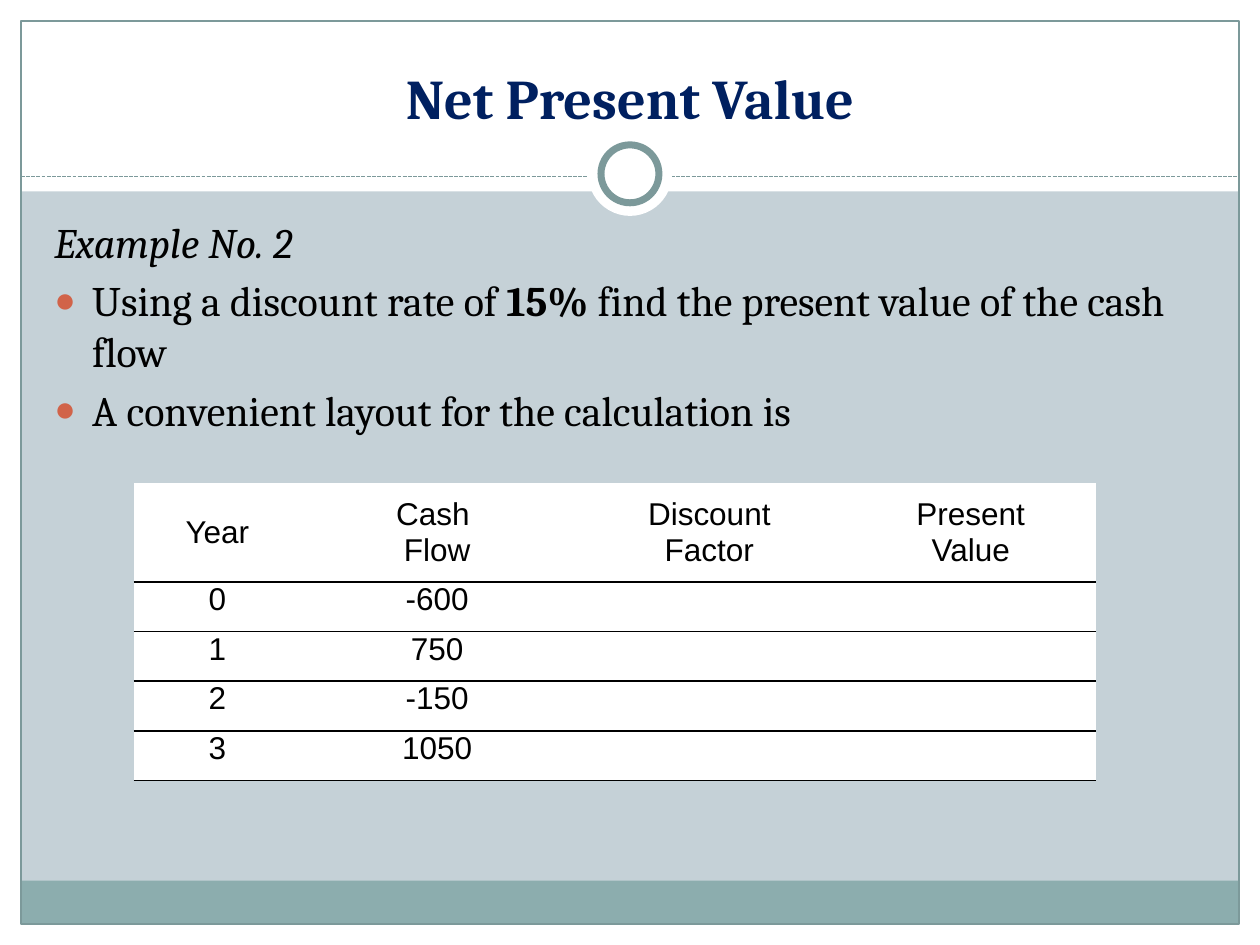
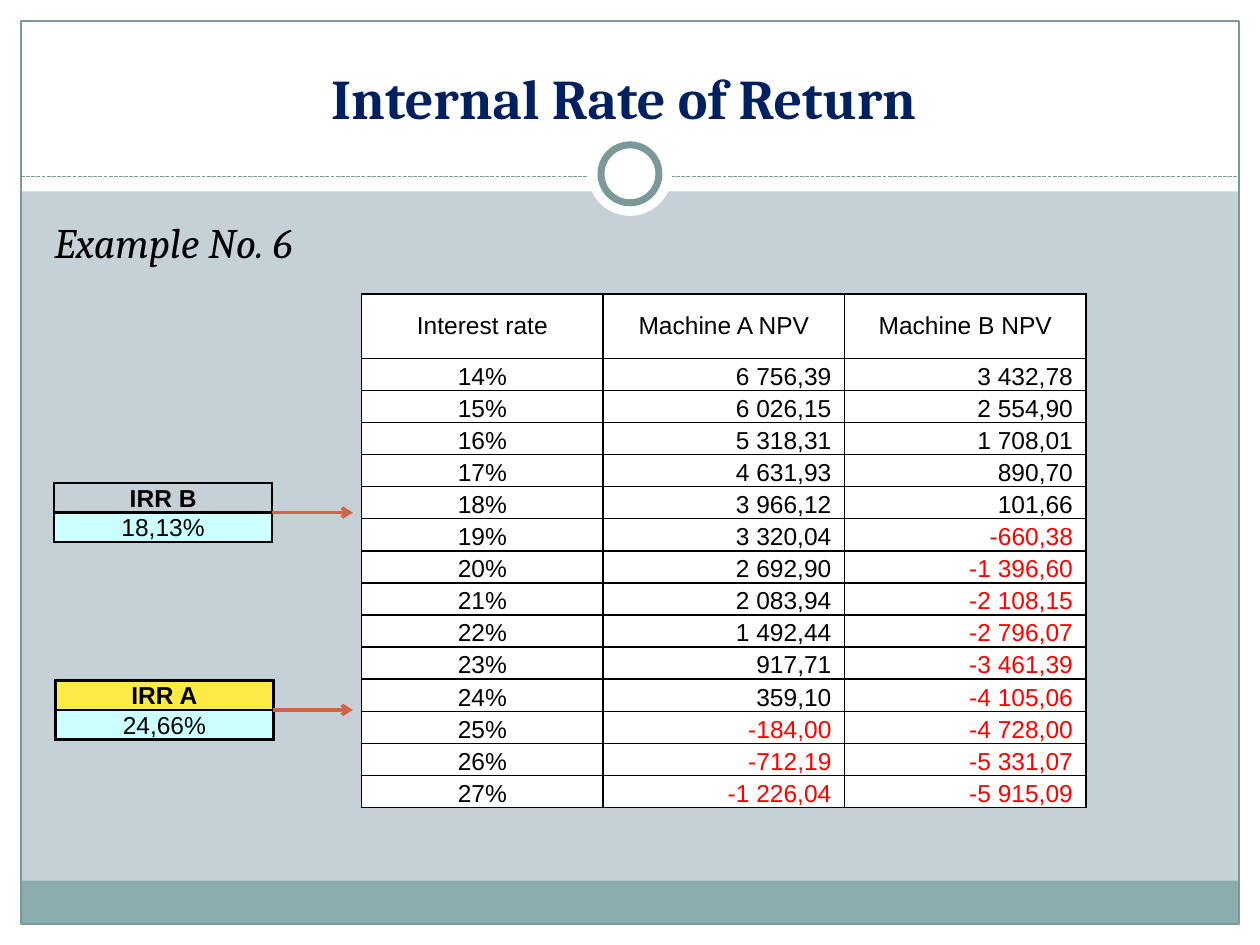
from dataclasses import dataclass

from lxml import etree
from pptx import Presentation
from pptx import util as u
from pptx.dml.color import RGBColor
from pptx.enum import dml, shapes, text
from pptx.oxml import ns

# ---- Content: places are in grid units, sixths of an inch (60 columns x 45 rows) ----
NPV = {
    "title": "Net Present Value",
    "example": "Example No. 2",
    "bullets": [
        [("Using a discount rate of ", False), ("15%", True),
         (" find the present value of the cash flow", False)],
        [("A convenient layout for the calculation is", False)],
    ],
}
CASH_FLOWS = [
    ("Year", "Cash \nFlow", "Discount\nFactor", "Present\nValue"),
    ("0", "-600", "", ""),
    ("1", "750", "", ""),
    ("2", "-150", "", ""),
    ("3", "1050", "", ""),
]
IRR = {"title": "Internal Rate of Return ", "example": "Example No. 6", "bullets": []}
NPV_HEADINGS = ("Interest rate", "Machine A NPV", "Machine B NPV")
FIRST_RATE = 14
MACHINE_NPVS = [
    ("6 756,39", "3 432,78"),
    ("6 026,15", "2 554,90"),
    ("5 318,31", "1 708,01"),
    ("4 631,93", "890,70"),
    ("3 966,12", "101,66"),
    ("3 320,04", "-660,38"),
    ("2 692,90", "-1 396,60"),
    ("2 083,94", "-2 108,15"),
    ("1 492,44", "-2 796,07"),
    ("917,71", "-3 461,39"),
    ("359,10", "-4 105,06"),
    ("-184,00", "-4 728,00"),
    ("-712,19", "-5 331,07"),
    ("-1 226,04", "-5 915,09"),
]
# label, rate, label fill, left, top
IRR_RESULTS = [("IRR B", "18,13%", None, 2.58, 23),
               ("IRR A", "24,66%", "FFE947", 2.64, 32.4)]


@dataclass(frozen=True)
class Theme:
    paper: str = "C5D1D7"
    white: str = "FFFFFF"
    black: str = "000000"
    navy: str = "002060"
    frame: str = "7C999A"
    footer: str = "8CADAE"
    accent: str = "D16349"
    negative: str = "FF0000"
    result: str = "CCFFFF"
    serif: str = "Cambria"
    sans: str = "Arial"
    title_size: int = 32
    body_size: int = 24
    table_size: int = 18
    small_size: int = 14


T = Theme()
COLS, ROWS = 60, 45
CENTER, MIDDLE, BOTTOM = (text.MSO_ANCHOR.TOP, text.MSO_ANCHOR.MIDDLE,
                          text.MSO_ANCHOR.BOTTOM)[0:0] or (
    text.PP_ALIGN.CENTER, text.MSO_ANCHOR.MIDDLE, text.MSO_ANCHOR.BOTTOM)


# ---- Helpers ----
def grid(*units):
    return [u.Inches(n / 6) for n in units]


def rgb(color):
    return RGBColor.from_string(color)


def style(font, face, size, color, bold=False, italic=False):
    font.name, font.size, font.bold, font.italic = face, u.Pt(size), bold, italic
    font.color.rgb = rgb(color)


def add_shape(slide, preset, place, fill=None, line=None, width=0.75):
    shape = slide.shapes.add_shape(preset, *grid(*place))
    shape.shadow.inherit = False
    if fill:
        shape.fill.solid()
        shape.fill.fore_color.rgb = rgb(fill)
    else:
        shape.fill.background()
    if line:
        shape.line.color.rgb = rgb(line)
        shape.line.width = u.Pt(width)
    else:
        shape.line.fill.background()


def add_line(slide, start, end, y, color, width):
    line = slide.shapes.add_connector(shapes.MSO_CONNECTOR.STRAIGHT,
                                      *grid(start, y, end, y))
    line.line.color.rgb = rgb(color)
    line.line.width = u.Pt(width)
    etree.SubElement(line._element.spPr, ns.qn("a:effectLst"))
    return line


def add_arrow(slide, start, end, y):
    arrow = add_line(slide, start, end, y, T.accent, 2)
    etree.SubElement(arrow.line._get_or_add_ln(), ns.qn("a:tailEnd"), type="arrow")


def add_text(slide, place):
    frame = slide.shapes.add_textbox(*grid(*place)).text_frame
    frame.word_wrap = True
    return frame


def add_bullet(paragraph):
    props = paragraph._p.get_or_add_pPr()
    props.set("marL", str(u.Inches(0.3)))
    props.set("indent", str(-u.Inches(0.3)))
    color = etree.SubElement(props, ns.qn("a:buClr"))
    etree.SubElement(color, ns.qn("a:srgbClr"), val=T.accent)
    etree.SubElement(props, ns.qn("a:buSzPct"), val="85000")
    etree.SubElement(props, ns.qn("a:buFont"), typeface=T.sans)
    etree.SubElement(props, ns.qn("a:buChar"), char="●")


def set_borders(cell, sides, width):
    props = cell._tc.get_or_add_tcPr()
    for place, side in enumerate("LRTB"):
        shown = side in sides
        line = etree.Element(ns.qn(f"a:ln{side}"), w=str(u.Pt(width if shown else 0)))
        fill = etree.SubElement(line, ns.qn("a:solidFill" if shown else "a:noFill"))
        if shown:
            etree.SubElement(fill, ns.qn("a:srgbClr"), val=T.black)
        props.insert(place, line)


def add_table(slide, left, top, widths, row_height, rows, look, header_rows=1):
    """look(row, column, words) gives the format of one cell."""
    heights = [row_height * (header_rows if r == 0 else 1) for r in range(len(rows))]
    table = slide.shapes.add_table(len(rows), len(widths), *grid(
        left, top, sum(widths), sum(heights))).table
    table.first_row = table.horz_banding = False
    for column, width in zip(table.columns, grid(*widths)):
        column.width = width
    for row, height in zip(table.rows, grid(*heights)):
        row.height = height
    for r, row in enumerate(rows):
        for c, words in enumerate(row):
            cell, f = table.cell(r, c), look(r, c, words)
            cell.margin_left = cell.margin_right = u.Inches(f["inset"])
            cell.margin_top = cell.margin_bottom = 0
            cell.vertical_anchor = f["anchor"]
            if f["fill"]:
                cell.fill.solid()
                cell.fill.fore_color.rgb = rgb(f["fill"])
            else:
                cell.fill.background()
            set_borders(cell, f["sides"], f["width"])
            cell.text_frame.text = words
            for paragraph in cell.text_frame.paragraphs:
                paragraph.alignment = f["align"]
                style(paragraph.font, T.sans, f["size"], f["color"], f["bold"])
                for run in paragraph.runs:
                    style(run.font, T.sans, f["size"], f["color"], f["bold"])


def cell_look(**changes):
    return dict(inset=0.05, anchor=BOTTOM, fill=T.white, sides="LRTB", width=1,
                align=CENTER, size=T.small_size, color=T.black, bold=False) | changes


# ---- What the slides share ----
def add_frame(slide):
    rect, oval = shapes.MSO_SHAPE.RECTANGLE, shapes.MSO_SHAPE.OVAL
    slide.background.fill.solid()
    slide.background.fill.fore_color.rgb = rgb(T.paper)
    for margin in [(0, ROWS - 1, COLS, 1), (0, 0, COLS, 9.12),
                   (0, 0, 1, ROWS), (COLS - 1, 0, 1, ROWS)]:
        add_shape(slide, rect, margin, T.white)
    add_shape(slide, rect, (1, 42 - 0.06, COLS - 2, 2.06), T.footer)
    add_shape(slide, rect, (1, 1, COLS - 2, ROWS - 2), line=T.frame)
    divider = add_line(slide, 1, COLS - 1, 8.4, T.frame, 0.75)
    divider.line.dash_style = dml.MSO_LINE.SQUARE_DOT
    for size, line in [(4, None), (2.76, T.frame)]:
        add_shape(slide, oval, (COLS / 2 - size / 2, 8.28 - size / 2, size, size),
                  T.white, line, 4)


def start_slide(deck, content):
    slide = deck.slides.add_slide(deck.slide_layouts[6])
    add_frame(slide)

    title = add_text(slide, (2, 1.5, 56, 5))
    title.vertical_anchor = BOTTOM
    title.text = content["title"]
    title.paragraphs[0].alignment = CENTER
    style(title.paragraphs[0].runs[0].font, T.serif, T.title_size, T.navy, bold=True)

    body = add_text(slide, (2, 10, 55, 30))
    body.text = content["example"]
    style(body.paragraphs[0].runs[0].font, T.serif, T.body_size, T.black, italic=True)
    for bullet in content["bullets"]:
        paragraph = body.add_paragraph()
        paragraph.space_before = u.Pt(T.body_size * 0.2)
        add_bullet(paragraph)
        for words, bold in bullet:
            run = paragraph.add_run()
            run.text = words
            style(run.font, T.serif, T.body_size, T.black, bold)
    return slide


# ---- Slides ----
def build_npv(deck):
    slide = start_slide(deck, NPV)

    def look(r, c, words):
        return cell_look(inset=0.08, size=T.table_size, sides="TB" if r else "B",
                         anchor=text.MSO_ANCHOR.TOP if r else MIDDLE)

    add_table(slide, 6.36, 23, (7.98, 12.96, 12.96, 11.94), 2.36, CASH_FLOWS, look, 2)


def build_irr(deck):
    slide = start_slide(deck, IRR)

    def npv_look(r, c, words):
        if r == 0:
            return cell_look(anchor=MIDDLE)
        return cell_look(align=text.PP_ALIGN.RIGHT if c else CENTER,
                         color=T.negative if words.startswith("-") else T.black)

    rates = [(f"{FIRST_RATE + i}%", *(f"{npv} " for npv in npvs))
             for i, npvs in enumerate(MACHINE_NPVS)]
    add_table(slide, 17.22, 14, (11.5,) * 3, 1.53, [NPV_HEADINGS] + rates, npv_look, 2)

    # Each result points at its place between two interest rates
    width, height = 10.38, 1.41
    for label, rate, fill, left, top in IRR_RESULTS:
        def result_look(r, c, words):
            return cell_look(width=1.5, bold=r == 0, fill=T.result if r else fill)

        add_table(slide, left, top, (width,), height, [(label,), (rate,)], result_look)
        add_arrow(slide, left + width, 16.8, top + height)


def main():
    deck = Presentation()
    deck.slide_width, deck.slide_height = grid(COLS, ROWS)
    build_npv(deck)
    build_irr(deck)
    deck.save("out.pptx")


if __name__ == "__main__":
    main()
